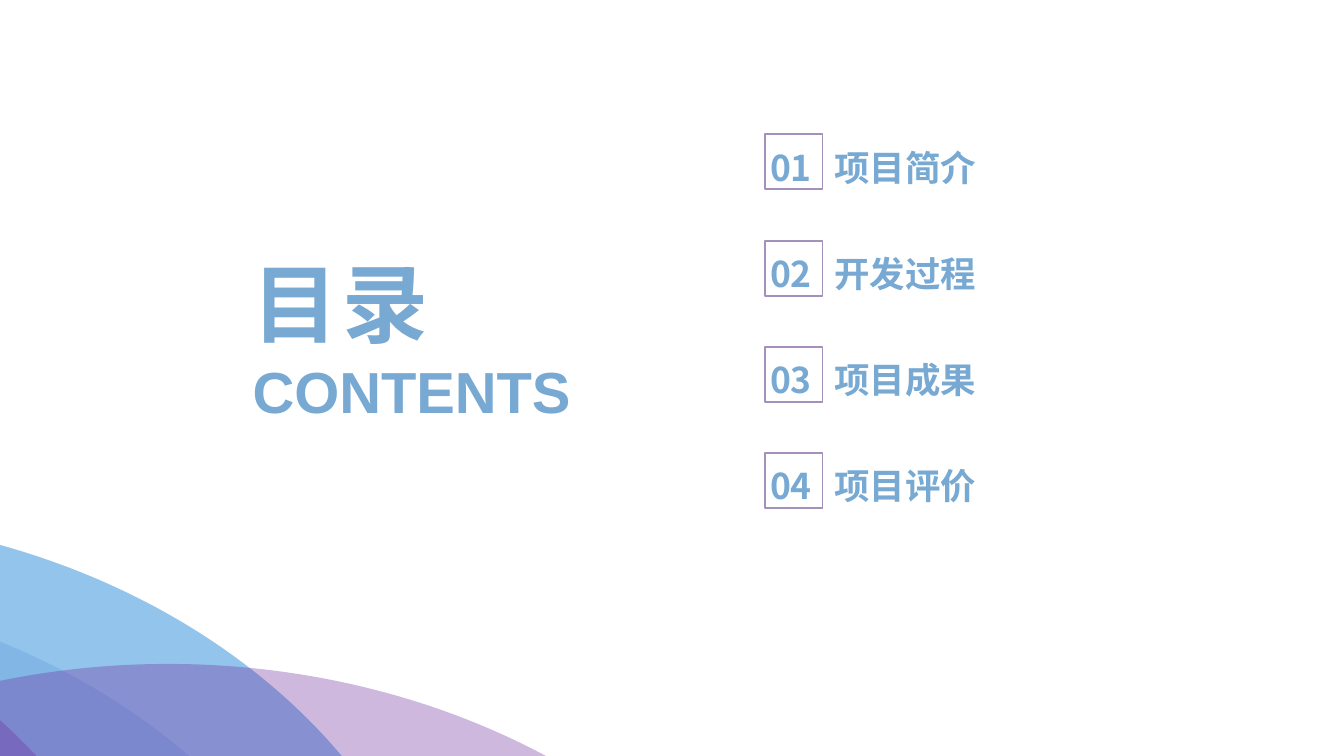
import pptx
import pptx.util
import pptx.dml.color
import pptx.enum.shapes
import pptx.enum.text
import pptx.oxml.ns
from lxml import etree

Inches = pptx.util.Inches
Pt = pptx.util.Pt
qn = pptx.oxml.ns.qn
KIND = pptx.enum.shapes.MSO_SHAPE

COLORS = {
    "text": "77A9D3",
    "frame": "A491BB",
    "steel": "4F81BD",
    "sky": "3992DB",
    "plum": "7030A0",
}
CJK = "Noto Sans CJK SC"
TOPICS = ["项目简介", "开发过程", "项目成果", "项目评价"]
TOP, STEP = 0.99, 0.79

# Left, top, colour and opacity in percent, back to front
WAVES = [
    (-7.38, 4.33, "steel", 21),
    (-6.74, 3.83, "sky", 54),
    (-8.87, 3.99, "plum", 34),
    (-3.83, 4.94, "plum", 34),
]


def color(name):
    return pptx.dml.color.RGBColor.from_string(COLORS[name])


def add_text(slide, text, box, size, font, tab=None, space=None):
    shape = slide.shapes.add_textbox(*map(Inches, box))
    frame = shape.text_frame
    frame.word_wrap = True
    frame.auto_size = pptx.enum.text.MSO_AUTO_SIZE.NONE
    frame.margin_left = frame.margin_right = Inches(0.07)
    frame.margin_top = frame.margin_bottom = Inches(0.03)
    frame.text = text
    para = frame.paragraphs[0]
    if tab:
        tabs = etree.SubElement(para._p.get_or_add_pPr(), qn("a:tabLst"))
        etree.SubElement(tabs, qn("a:tab"), pos=str(Inches(tab)), algn="l")
    para.line_spacing = 1.2
    run = para.runs[0]
    run.font.size = Pt(size)
    run.font.bold = True
    run.font.name = font
    run.font.color.rgb = color("text")
    props = run._r.get_or_add_rPr()
    etree.SubElement(props, qn("a:ea"), typeface=CJK)
    if space:
        props.set("spc", str(round(space * 100)))


def add_frame(slide, left, top):
    shape = slide.shapes.add_shape(
        KIND.RECTANGLE, Inches(left), Inches(top), Inches(0.43), Inches(0.41))
    shape.shadow.inherit = False
    shape.fill.background()
    shape.line.color.rgb = color("frame")
    shape.line.width = Pt(1)


def add_wave(slide, left, top, name, alpha):
    shape = slide.shapes.add_shape(
        KIND.OVAL, Inches(left), Inches(top), Inches(10.16), Inches(8.19))
    shape.shadow.inherit = False
    shape.fill.solid()
    shape.fill.fore_color.rgb = color(name)
    shape.line.fill.background()
    tint = shape._element.spPr.find(qn("a:solidFill"))[0]
    etree.SubElement(tint, qn("a:alpha"), val=str(alpha * 1000))


def main():
    # Widescreen page, 16 to 9
    deck = pptx.Presentation()
    deck.slide_width = Inches(10)
    deck.slide_height = Inches(10) * 9 // 16
    slide = deck.slides.add_slide(deck.slide_layouts[6])

    # Numbered topics
    for i, topic in enumerate(TOPICS):
        top = TOP + i * STEP
        add_text(slide, f"{i + 1:02d}\t{topic}", (5.66, top, 1.69, 0.45),
                 19, CJK, tab=0.48)
        add_frame(slide, 5.69, top + 0.01)

    # Heading
    add_text(slide, "目录", (1.81, 1.68, 1.93, 0.92), 46, "Arial", space=2.1)
    add_text(slide, "CONTENTS", (1.81, 2.51, 2.6, 0.7), 31, "Arial")

    # Waves in the lower left corner
    for wave in WAVES:
        add_wave(slide, *wave)

    deck.save("out.pptx")


if __name__ == "__main__":
    main()
